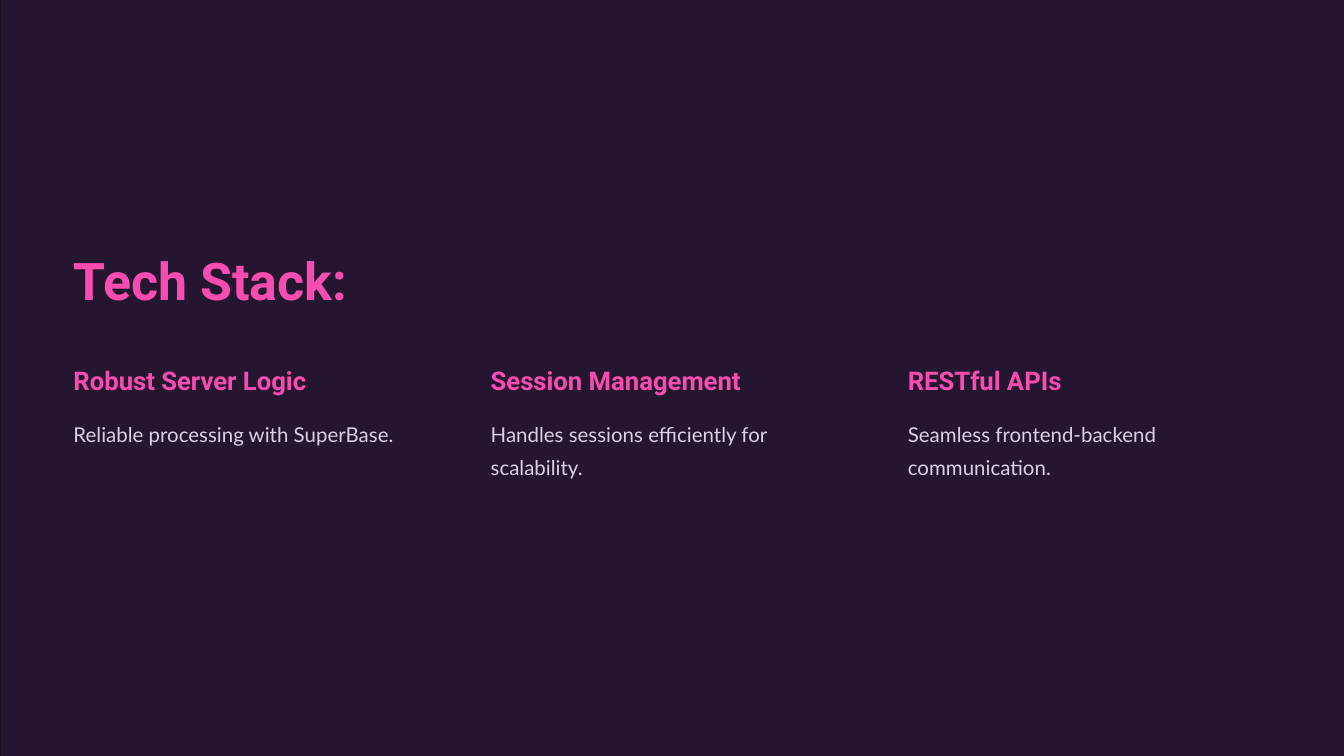
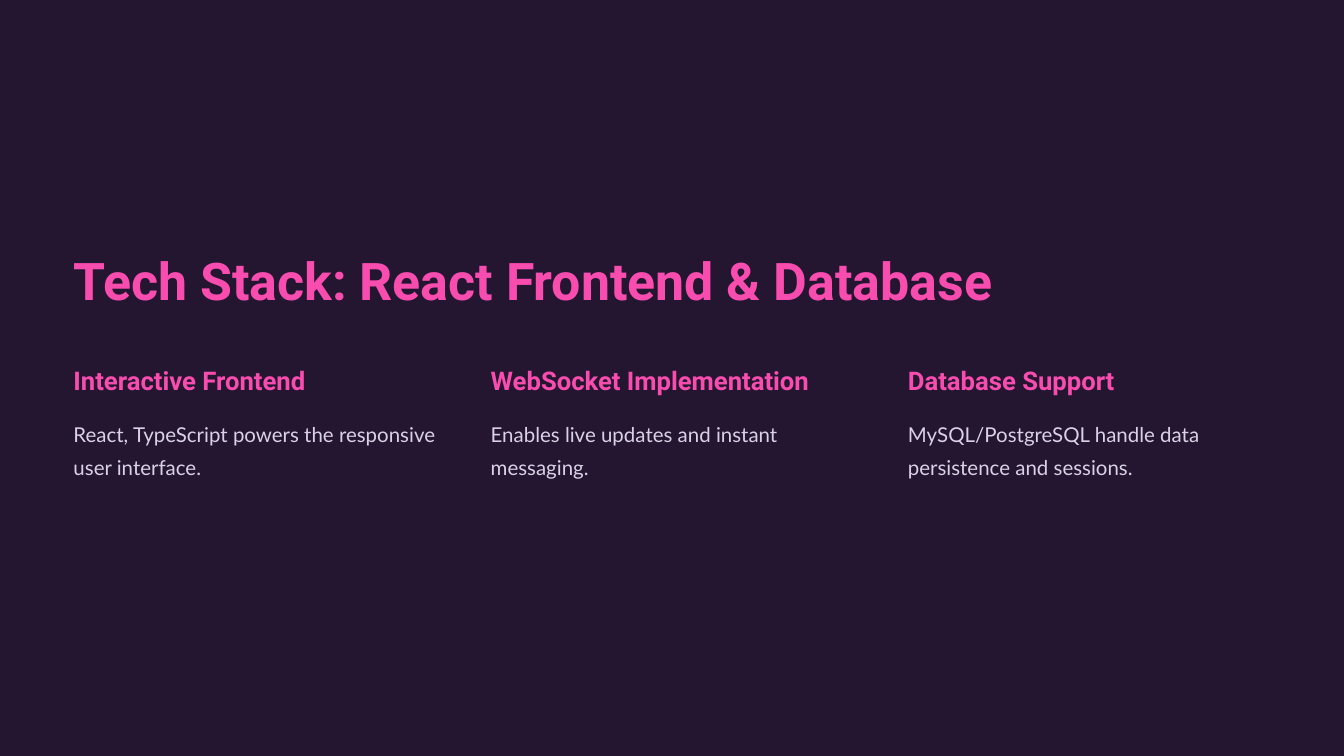
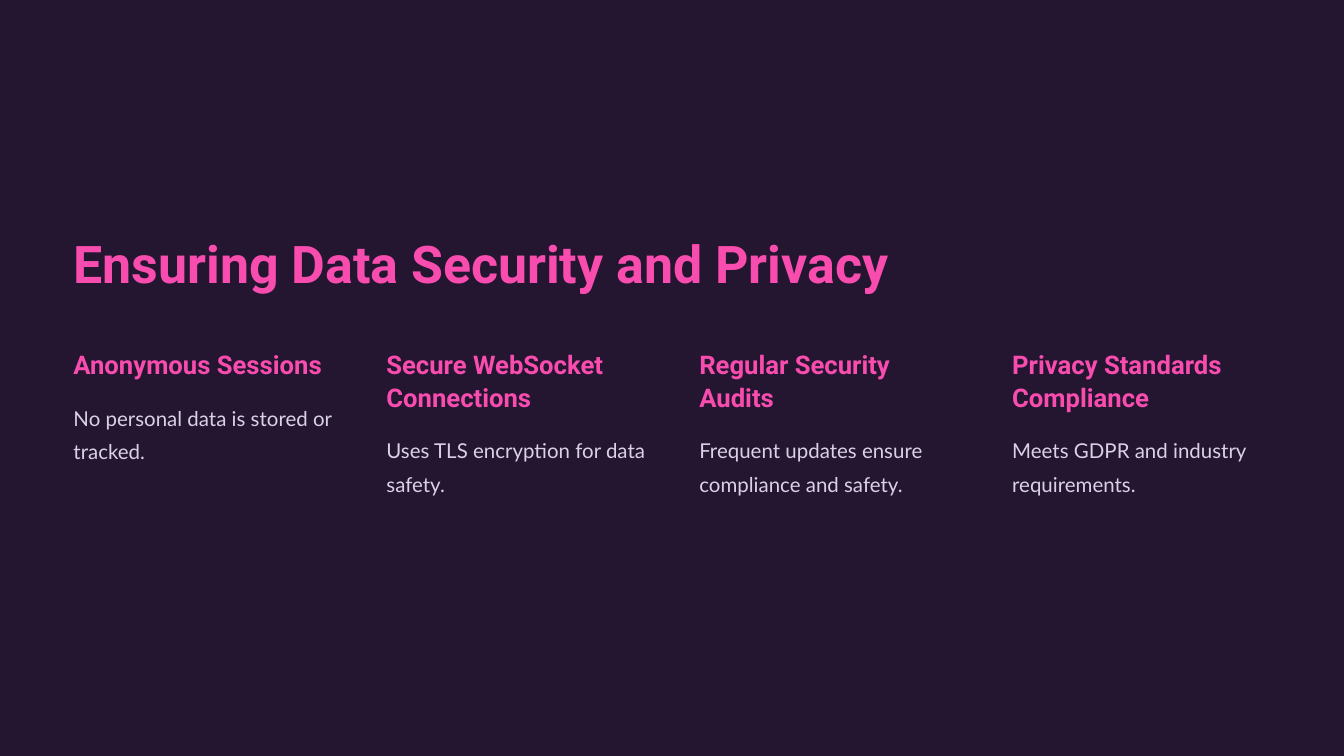
from dataclasses import dataclass

from pptx import Presentation
from pptx.dml.color import RGBColor
from pptx.enum.shapes import MSO_SHAPE
from pptx.enum.text import MSO_ANCHOR, MSO_AUTO_SIZE, PP_ALIGN
from pptx.util import Emu, Pt

PX = 9525
SLIDE_WIDTH, SLIDE_HEIGHT = 1920, 1080
MARGIN, CONTENT_WIDTH, COLUMN_GAP = 105, 1714, 74
TITLE_HEIGHT, HEADING_OFFSET = 94, 169
HEADING_LINE, HEADING_GAP, BODY_HEIGHT = 47, 23, 105


@dataclass(frozen=True)
class TextStyle:
    font: str
    size: float
    line: float
    color: RGBColor
    bold: bool = False


@dataclass(frozen=True)
class Theme:
    backdrop = RGBColor.from_string("110C17")
    panel = RGBColor.from_string("241631")
    pink = RGBColor.from_string("F94CAF")
    lilac = RGBColor.from_string("DAD1E6")
    title = TextStyle("Roboto", 55.6, 69.4, pink, True)
    heading = TextStyle("Roboto", 27.5, 34.4, pink, True)
    body = TextStyle("Lato", 21.9, 35.6, lilac)


class Deck:
    """Holds the theme, the presentation and the slide being built."""

    def __init__(self, theme):
        self.theme = theme
        self.presentation = Presentation()
        self.presentation.slide_width = Emu(SLIDE_WIDTH * PX)
        self.presentation.slide_height = Emu(SLIDE_HEIGHT * PX)
        fill = self.presentation.slide_master.background.fill
        fill.solid()
        fill.fore_color.rgb = theme.backdrop
        self.slide = None

    def add_slide(self, title, title_top, columns, panel_left=0):
        layout = self.presentation.slide_layouts.get_by_name("Title Only")
        self.slide = self.presentation.slides.add_slide(layout)
        self.add_panel(panel_left)
        self.set_title(title, title_top)
        self.add_columns(columns, title_top + HEADING_OFFSET)

    def add_panel(self, left):
        panel = self.slide.shapes.add_shape(
            MSO_SHAPE.RECTANGLE, left * PX, 0, (SLIDE_WIDTH - left) * PX, SLIDE_HEIGHT * PX)
        panel.shadow.inherit = False
        panel.fill.solid()
        panel.fill.fore_color.rgb = self.theme.panel
        panel.line.fill.background()
        self.slide.shapes.title.element.addprevious(panel.element)

    def set_title(self, text, top):
        title = self.slide.shapes.title
        title.left, title.top = MARGIN * PX, top * PX
        title.width, title.height = CONTENT_WIDTH * PX, TITLE_HEIGHT * PX
        self.set_text(title, text, self.theme.title)

    def add_text(self, text, left, top, width, height, style):
        box = self.slide.shapes.add_textbox(left * PX, top * PX, width * PX, height * PX)
        self.set_text(box, text, style)

    def add_columns(self, columns, top):
        width = (CONTENT_WIDTH + COLUMN_GAP) // len(columns) - COLUMN_GAP
        for index, (heading, body, heading_lines) in enumerate(columns):
            left = MARGIN + index * (width + COLUMN_GAP)
            height = heading_lines * HEADING_LINE
            self.add_text(heading, left, top, width, height, self.theme.heading)
            self.add_text(body, left, top + height + HEADING_GAP, width, BODY_HEIGHT,
                          self.theme.body)

    def set_text(self, shape, text, style):
        frame = shape.text_frame
        frame.margin_left = frame.margin_top = frame.margin_right = frame.margin_bottom = 0
        frame.word_wrap = True
        frame.auto_size = MSO_AUTO_SIZE.NONE
        frame.vertical_anchor = MSO_ANCHOR.TOP
        frame.text = text
        paragraph = frame.paragraphs[0]
        paragraph.alignment = PP_ALIGN.LEFT
        paragraph.line_spacing = Pt(style.line)
        paragraph.font.name = style.font
        paragraph.font.size = Pt(style.size)
        paragraph.font.bold = style.bold
        paragraph.font.color.rgb = style.color


def main():
    deck = Deck(Theme())
    deck.add_slide("Tech Stack:", 351, [
        ("Robust Server Logic", "Reliable processing with SuperBase.", 1),
        ("Session Management", "Handles sessions efficiently for scalability.", 1),
        ("RESTful APIs", "Seamless frontend-backend communication.", 1),
    ], panel_left=1)
    deck.add_slide("Tech Stack: React Frontend & Database", 351, [
        ("Interactive Frontend", "React, TypeScript powers the responsive user interface.", 1),
        ("WebSocket Implementation", "Enables live updates and instant messaging.", 1),
        ("Database Support", "MySQL/PostgreSQL handle data persistence and sessions.", 1),
    ])
    deck.add_slide("Ensuring Data Security and Privacy", 328, [
        ("Anonymous Sessions", "No personal data is stored or tracked.", 1),
        ("Secure WebSocket Connections", "Uses TLS encryption for data safety.", 2),
        ("Regular Security Audits", "Frequent updates ensure compliance and safety.", 2),
        ("Privacy Standards Compliance", "Meets GDPR and industry requirements.", 2),
    ])
    deck.presentation.save("out.pptx")


if __name__ == "__main__":
    main()
